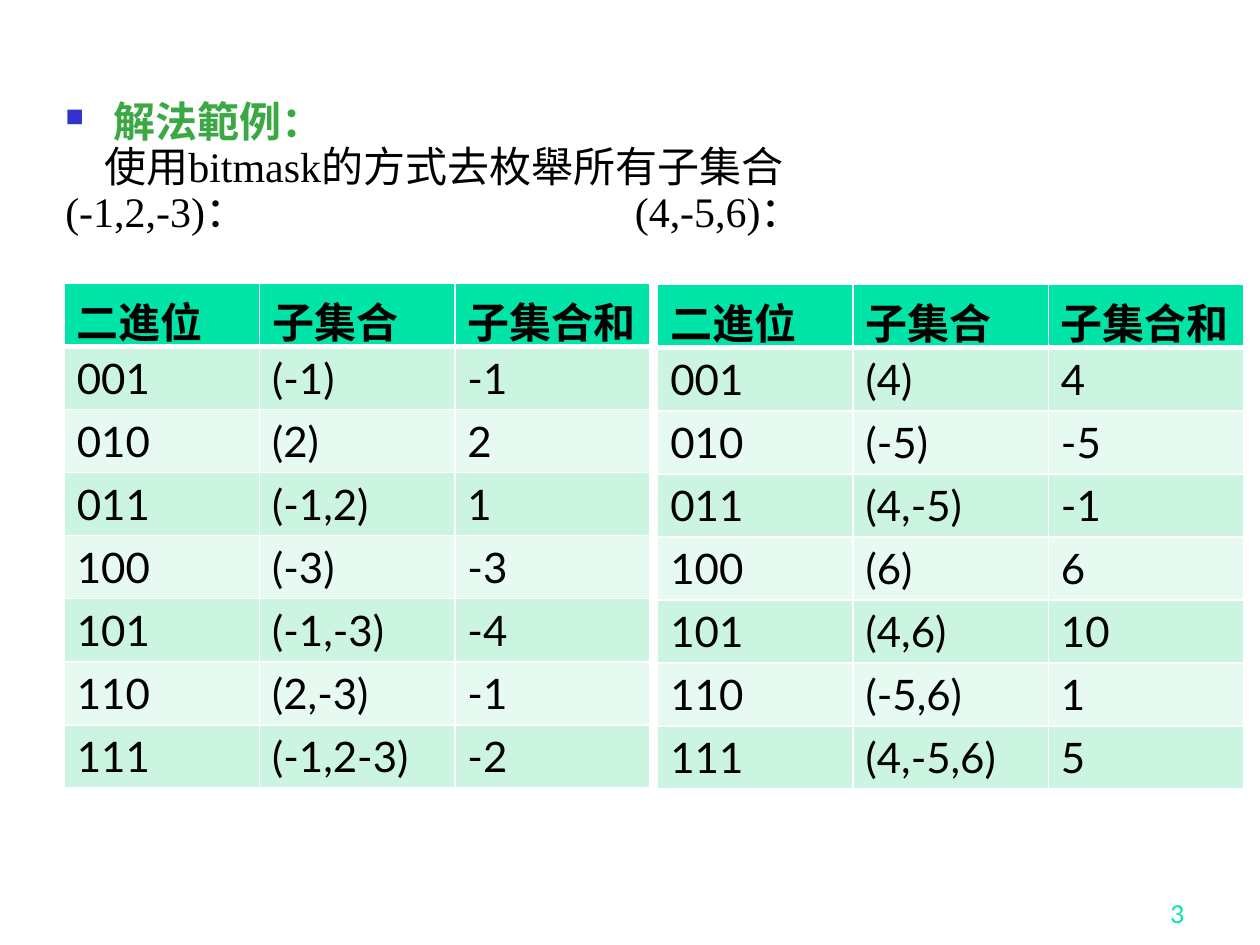
from dataclasses import dataclass

from lxml.etree import SubElement
from pptx import Presentation
from pptx.dml.color import RGBColor
from pptx.enum.text import MSO_ANCHOR, PP_ALIGN
from pptx.oxml.ns import qn
from pptx.util import Inches, Pt


@dataclass(frozen=True)
class Theme:
    accent: str = "00E4A8"
    green: str = "3BA943"
    bullet: str = "3333CC"
    ink: str = "000000"
    line: str = "FFFFFF"
    bands: tuple = ("CCF5E1", "E7FAF1")
    serif: str = "Times New Roman"
    sans: str = "Lato"
    body: int = 24
    small: int = 14


THEME = Theme()
HEADER = ("二進位", "子集合", "子集合和")
LEFT_ROWS = [
    ("001", "(-1)", "-1"),
    ("010", "(2)", "2"),
    ("011", "(-1,2)", "1"),
    ("100", "(-3)", "-3"),
    ("101", "(-1,-3)", "-4"),
    ("110", "(2,-3)", "-1"),
    ("111", "(-1,2-3)", "-2"),
]
RIGHT_ROWS = [
    ("001", "(4)", "4"),
    ("010", "(-5)", "-5"),
    ("011", "(4,-5)", "-1"),
    ("100", "(6)", "6"),
    ("101", "(4,6)", "10"),
    ("110", "(-5,6)", "1"),
    ("111", "(4,-5,6)", "5"),
]


def style(para, font, size, color, bold=False):
    for run in para.runs:
        run.font.name = font
        run.font.size = Pt(size)
        run.font.bold = bold
        run.font.color.rgb = RGBColor.from_string(color)


def add_bullet(para):
    props = para._p.get_or_add_pPr()
    props.set("marL", str(Inches(0.38)))
    props.set("indent", str(-Inches(0.38)))
    color = SubElement(props, qn("a:buClr"))
    SubElement(color, qn("a:srgbClr"), val=THEME.bullet)
    SubElement(props, qn("a:buSzPct"), val="60000")
    SubElement(props, qn("a:buChar"), char="■")


def add_tab(para, pos):
    tabs = SubElement(para._p.get_or_add_pPr(), qn("a:tabLst"))
    SubElement(tabs, qn("a:tab"), pos=str(pos), algn="l")


def add_intro(slide, box):
    frame = slide.shapes.add_textbox(*box).text_frame
    frame.word_wrap = True
    frame.text = "解法範例：\n使用bitmask的方式去枚舉所有子集合\n(-1,2,-3)：\t(4,-5,6)："
    title, method, sets = frame.paragraphs
    add_bullet(title)
    method._p.get_or_add_pPr().set("marL", str(Inches(0.31)))
    add_tab(sets, Inches(4.52))
    for para in frame.paragraphs:
        para.line_spacing = 0.9
        style(para, THEME.serif, THEME.body, THEME.ink)
    style(title, THEME.serif, THEME.body, THEME.green, bold=True)


def set_borders(cell, top, bottom):
    """Draw the four cell edges; top and bottom are widths in points."""
    props = cell._tc.get_or_add_tcPr()
    for tag, width in (("lnL", 1), ("lnR", 1), ("lnT", top), ("lnB", bottom)):
        edge = SubElement(props, qn(f"a:{tag}"), w=str(Pt(width)))
        fill = SubElement(edge, qn("a:solidFill"))
        SubElement(fill, qn("a:srgbClr"), val=THEME.line)


def add_subsets(slide, box, rows):
    data = [HEADER, *rows]
    table = slide.shapes.add_table(len(data), len(HEADER), *box).table
    for r, values in enumerate(data):
        head = r == 0
        color = THEME.accent if head else THEME.bands[(r - 1) % 2]
        for c, value in enumerate(values):
            cell = table.cell(r, c)
            cell.text_frame.text = value
            style(cell.text_frame.paragraphs[0], THEME.sans, THEME.body, THEME.ink, head)
            set_borders(cell, top=3 if r == 1 else 1, bottom=3 if head else 1)
            cell.fill.solid()
            cell.fill.fore_color.rgb = RGBColor.from_string(color)


def add_number(slide, box, number):
    frame = slide.shapes.add_textbox(*box).text_frame
    frame.word_wrap = True
    frame.vertical_anchor = MSO_ANCHOR.BOTTOM
    frame.text = str(number)
    para = frame.paragraphs[0]
    para.alignment = PP_ALIGN.RIGHT
    style(para, THEME.sans, THEME.small, THEME.accent)


def inch_box(*sides):
    return [Inches(side) for side in sides]


def main():
    deck = Presentation()
    deck.slide_width, deck.slide_height = Inches(10), Inches(7.5)
    slide = deck.slides.add_slide(deck.slide_layouts[6])
    add_number(slide, inch_box(7.42, 6.92, 2.08, 0.5), 3)
    add_intro(slide, inch_box(0.42, 0.75, 8.83, 6.15))
    add_subsets(slide, inch_box(0.51, 2.25, 4.65, 3.2), LEFT_ROWS)
    add_subsets(slide, inch_box(5.22, 2.26, 4.65, 3.2), RIGHT_ROWS)
    deck.save("out.pptx")


if __name__ == "__main__":
    main()
